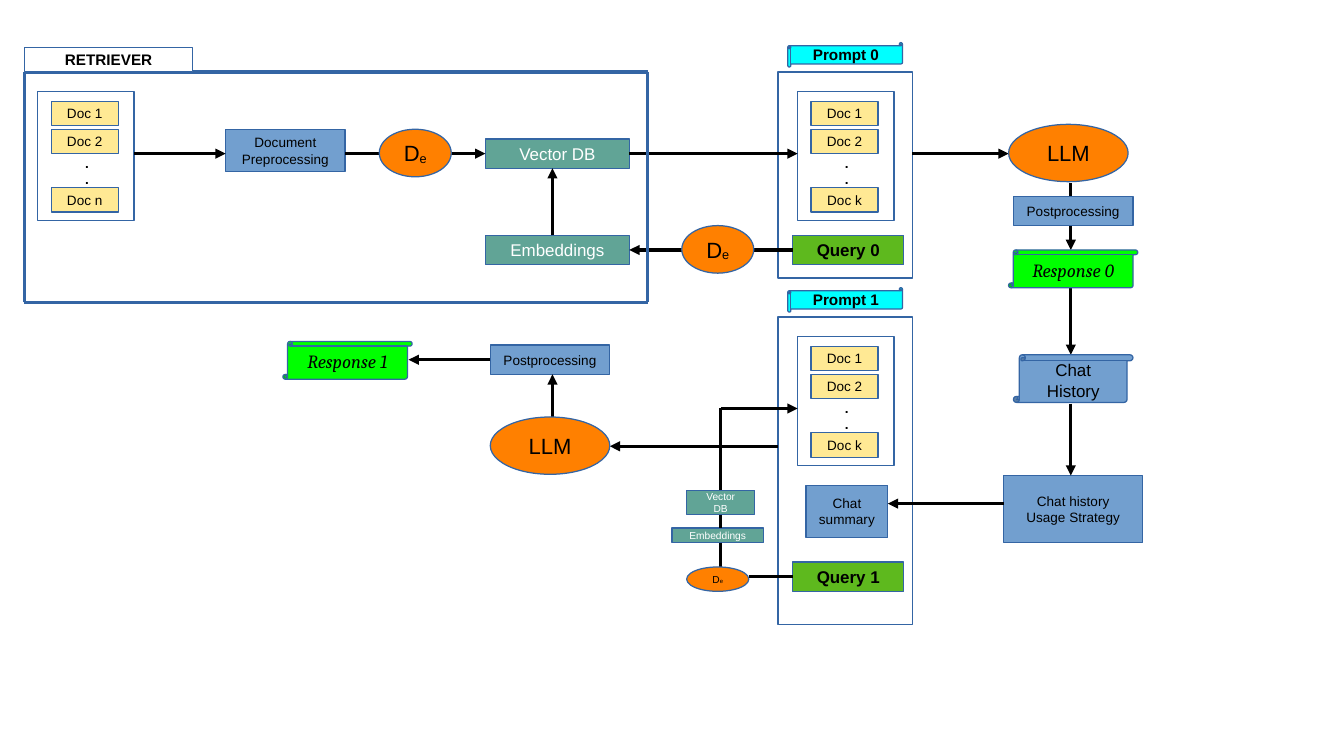
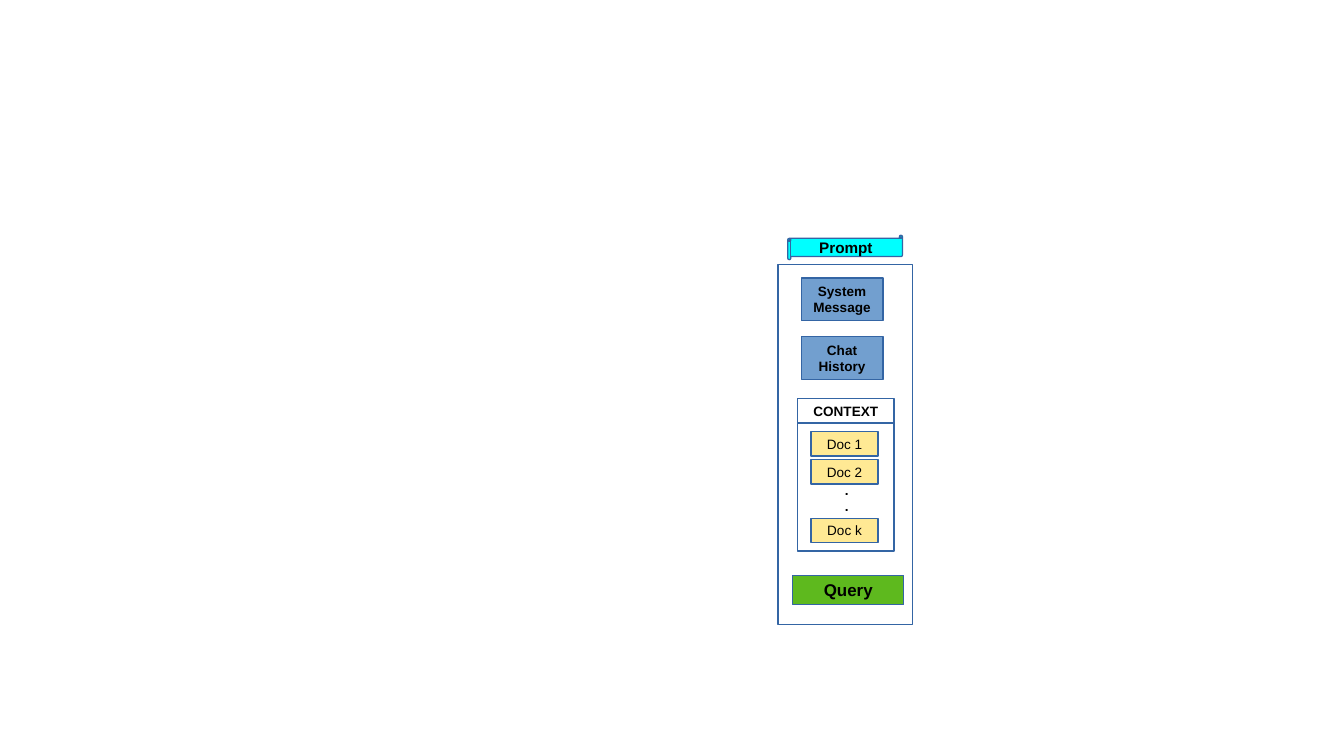
from dataclasses import dataclass
from typing import NamedTuple, Optional, Union

from lxml import etree
from pptx import Presentation
from pptx.dml.color import RGBColor
from pptx.enum.shapes import MSO_CONNECTOR, MSO_SHAPE
from pptx.enum.text import MSO_ANCHOR, PP_ALIGN
from pptx.oxml.ns import qn
from pptx.shapes.autoshape import Shape
from pptx.slide import Slide
from pptx.util import Inches, Pt

RECTANGLE = MSO_SHAPE.RECTANGLE
ELLIPSE = MSO_SHAPE.OVAL
BANNER = MSO_SHAPE.HORIZONTAL_SCROLL
SCROLL = MSO_SHAPE.VERTICAL_SCROLL
STRAIGHT = MSO_CONNECTOR.STRAIGHT
CENTER = PP_ALIGN.CENTER
MIDDLE = MSO_ANCHOR.MIDDLE
TOP, LEFT, BOTTOM, RIGHT = range(4)

COLORS = {
    "outline": "3465A4",
    "black": "000000",
    "white": "FFFFFF",
    "blue": "729FCF",
    "teal": "61A496",
    "orange": "FF8000",
    "yellow": "FFE994",
    "green": "5EB91E",
    "lime": "00FF00",
    "cyan": "00FFFF",
}


@dataclass(frozen=True)
class Style:
    fill: Optional[str]
    size: int = 8
    bold: bool = False
    italic: bool = False
    font: str = "Arial"
    color: str = "black"
    outline: MSO_SHAPE = RECTANGLE


FRAME = Style(None)
DOCUMENT = Style("yellow")
STEP = Style("blue")
BOLD_STEP = Style("blue", bold=True)
HEADING = Style("white", 9, bold=True)
CONTEXT = Style("white", bold=True)
STORE = Style("teal", 10, color="white")
SMALL_STORE = Style("teal", 6, color="white")
QUERY = Style("green", 10, bold=True)
PROMPT = Style("cyan", 9, bold=True, outline=BANNER)
MODEL = Style("orange", 13, outline=ELLIPSE)
SMALL_MODEL = Style("orange", 6, outline=ELLIPSE)
RESPONSE = Style("lime", 11, italic=True, font="Cambria", outline=SCROLL)
HISTORY = Style("blue", 10, outline=SCROLL)


class Node(NamedTuple):
    """A labelled shape; an underscore in the text starts a subscript."""
    text: str
    style: Style
    left: float
    top: float
    width: float
    height: float


class Point(NamedTuple):
    x: float
    y: float


class Joint(NamedTuple):
    node: str
    side: int


class Link(NamedTuple):
    start: Union[Point, Joint]
    end: Union[Point, Joint]
    arrow: bool = True
    color: str = "black"


class Panel(NamedTuple):
    prompt: str
    query: str
    top: float
    height: float
    documents_top: float
    query_top: float
    dots_offset: float = 0.47


PANELS = [
    Panel("Prompt 0", "Query 0", 0.59, 1.69, 0.75, 1.93),
    Panel("Prompt 1", "Query 1", 2.6, 2.52, 2.76, 4.61),
]
CONTEXT_PANEL = Panel("Prompt", "Query", 2.17, 2.95, 3.46, 4.72, 0.44)

BASE_NODES = {
    "preprocessing": Node("Document Preprocessing", STEP, 1.85, 1.06, 0.98, 0.35),
    "vectors": Node("Vector DB", STORE, 3.98, 1.14, 1.18, 0.24),
    "embeddings": Node("Embeddings", STORE, 3.98, 1.93, 1.18, 0.24),
    "postprocessing": Node("Postprocessing", STEP, 4.02, 2.83, 0.98, 0.24),
    "small vectors": Node("Vector DB", SMALL_STORE, 5.63, 4.02, 0.56, 0.2),
    "small embeddings": Node("Embeddings", SMALL_STORE, 5.51, 4.33, 0.75, 0.12),
    "summary": Node("Chat summary", STEP, 6.61, 3.98, 0.67, 0.43),
    "strategy": Node("Chat history Usage Strategy", STEP, 8.23, 3.9, 1.14, 0.55),
}

FLOW = [
    Link(Joint("Query 0", LEFT), Joint("embeddings", RIGHT)),
    Link(Point(4.53, 1.93), Point(4.53, 1.38)),
    Link(Point(1.1, 1.26), Point(1.85, 1.26)),
    Link(Point(2.83, 1.26), Joint("vectors", LEFT)),
    Link(Joint("vectors", RIGHT), Point(6.54, 1.26)),
    Link(Point(7.48, 1.26), Point(8.27, 1.26)),
    Link(Point(8.78, 1.5), Point(8.78, 2.05)),
    Link(Point(8.78, 2.36), Point(8.78, 2.91)),
    Link(Point(8.78, 3.31), Point(8.78, 3.9)),
    Link(Point(8.23, 4.13), Point(7.28, 4.13)),
    Link(Joint("Query 1", LEFT), Point(6.14, 4.73), arrow=False),
    Link(Point(5.91, 4.45), Point(5.91, 4.65), arrow=False),
    Link(Joint("small vectors", BOTTOM), Point(5.91, 4.33), arrow=False),
    Link(Joint("small vectors", TOP), Point(5.91, 3.35), arrow=False),
    Link(Point(5.91, 3.35), Point(6.54, 3.35)),
    Link(Point(6.38, 3.66), Point(5, 3.66)),
    Link(Point(4.53, 3.42), Point(4.53, 3.07)),
    Link(Joint("postprocessing", LEFT), Point(3.35, 2.95)),
]

RETRIEVER_CORNERS = [
    Point(0.2, 0.59), Point(5.31, 0.59), Point(5.31, 2.48), Point(0.2, 2.48),
]

FRONT_NODES = [
    Node("D_e", MODEL, 3.11, 1.06, 0.59, 0.39),
    Node("D_e", MODEL, 5.59, 1.85, 0.59, 0.39),
    Node("D_e", SMALL_MODEL, 5.63, 4.65, 0.51, 0.2),
    Node("LLM", MODEL, 8.27, 1.02, 0.98, 0.47),
    Node("LLM", MODEL, 4.02, 3.42, 0.98, 0.47),
    Node("Postprocessing", STEP, 8.31, 1.61, 0.98, 0.24),
    Node("Response 0", RESPONSE, 8.27, 2.05, 1.06, 0.31),
    Node("Response 1", RESPONSE, 2.32, 2.8, 1.06, 0.31),
    Node("Chat\nHistory", HISTORY, 8.31, 2.91, 0.98, 0.39),
    Node("RETRIEVER", HEADING, 0.2, 0.39, 1.38, 0.2),
]

CONTEXT_NODES = [
    Node("System Message", BOLD_STEP, 6.57, 2.28, 0.67, 0.35),
    Node("Chat History", BOLD_STEP, 6.57, 2.76, 0.67, 0.35),
    Node("CONTEXT", CONTEXT, 6.54, 3.27, 0.79, 0.2),
]


def rgb(name: str) -> RGBColor:
    return RGBColor.from_string(COLORS[name])


def write_text(box: Shape, text: str, style: Style) -> None:
    frame = box.text_frame
    for index, line in enumerate(text.split("\n")):
        para = frame.add_paragraph() if index else frame.paragraphs[0]
        base, _, subscript = line.partition("_")
        para.add_run().text = base
        if subscript:
            span = para.add_run()
            span.text = subscript
            span._r.get_or_add_rPr().set("baseline", "-8000")
        font = para.font
        font.name, font.size = style.font, Pt(style.size)
        font.bold, font.italic = style.bold, style.italic
        font.color.rgb = rgb(style.color)


def add_node(page: Slide, node: Node) -> Shape:
    style = node.style
    box = page.shapes.add_shape(style.outline, *map(Inches, node[2:]))
    box.shadow.inherit = False
    box.line.color.rgb = rgb("outline")
    box.line.width = 0
    if style.fill:
        box.fill.solid()
        box.fill.fore_color.rgb = rgb(style.fill)
    else:
        box.fill.background()
    if node.text:
        write_text(box, node.text, style)
        box.text_frame.word_wrap = True
        box.text_frame.vertical_anchor = MIDDLE
        for para in box.text_frame.paragraphs:
            para.alignment = CENTER
    return box


def add_link(page: Slide, link: Link, boxes: dict[str, Shape]) -> None:
    ends = [Point(0, 0) if isinstance(end, Joint) else end
            for end in (link.start, link.end)]
    line = page.shapes.add_connector(
        STRAIGHT, *(Inches(value) for end in ends for value in end))
    if isinstance(link.start, Joint):
        line.begin_connect(boxes[link.start.node], link.start.side)
    if isinstance(link.end, Joint):
        line.end_connect(boxes[link.end.node], link.end.side)
    line.line.color.rgb = rgb(link.color)
    line.line.width = 0
    if link.arrow:
        etree.SubElement(line.line._get_or_add_ln(), qn("a:tailEnd"), type="triangle")
    etree.SubElement(line._element.spPr, qn("a:effectLst"))


def add_documents(page: Slide, left: float, top: float, last: str,
                  dots_offset: float = 0.47) -> None:
    """Draw a framed stack of documents with dots before the last one."""
    add_node(page, Node("", FRAME, left, top, 0.79, 1.06))
    for label, offset in (("Doc 1", 0.08), ("Doc 2", 0.31), (last, 0.79)):
        add_node(page, Node(label, DOCUMENT, left + 0.11, top + offset, 0.55, 0.2))
    dots = page.shapes.add_textbox(
        Inches(left + 0.29), Inches(top + dots_offset), Inches(0.22), Inches(0.35))
    write_text(dots, ".\n.", Style(None, bold=True))


def add_panel(page: Slide, panel: Panel) -> Shape:
    """Draw a prompt with its documents and return its query box."""
    add_node(page, Node("", FRAME, 6.38, panel.top, 1.1, panel.height))
    add_node(page, Node(panel.prompt, PROMPT, 6.46, panel.top - 0.24, 0.94, 0.2))
    add_documents(page, 6.54, panel.documents_top, "Doc k", panel.dots_offset)
    return add_node(page, Node(panel.query, QUERY, 6.5, panel.query_top, 0.91, 0.24))


def build_pipeline(page: Slide) -> None:
    add_documents(page, 0.31, 0.75, "Doc n")
    boxes = {panel.query: add_panel(page, panel) for panel in PANELS}
    boxes.update({name: add_node(page, node) for name, node in BASE_NODES.items()})
    border = [
        Link(start, end, arrow=False, color="outline")
        for start, end in zip(RETRIEVER_CORNERS,
                              RETRIEVER_CORNERS[1:] + RETRIEVER_CORNERS[:1])
    ]
    for link in FLOW + border:
        add_link(page, link, boxes)
    for node in FRONT_NODES:
        add_node(page, node)


def build_prompt(page: Slide) -> None:
    add_panel(page, CONTEXT_PANEL)
    for node in CONTEXT_NODES:
        add_node(page, node)


def main() -> None:
    deck = Presentation()
    deck.slide_width, deck.slide_height = Inches(11.02), Inches(6.2)
    blank = deck.slide_layouts[6]
    for build in (build_pipeline, build_prompt):
        build(deck.slides.add_slide(blank))
    deck.save("out.pptx")


if __name__ == "__main__":
    main()
